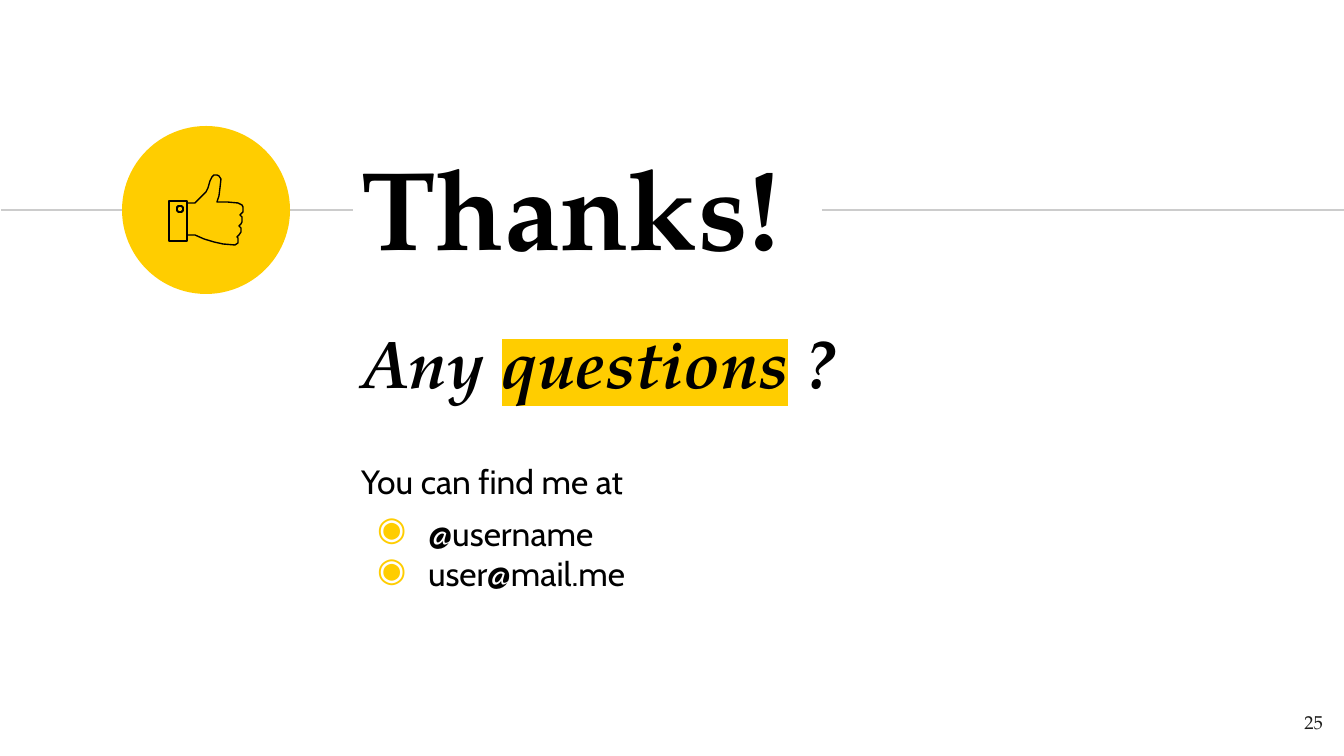
from dataclasses import dataclass
from math import cos, pi, sin

from pptx import Presentation
from pptx.dml.color import RGBColor
from pptx.enum.shapes import MSO_CONNECTOR as Connector, MSO_SHAPE as Preset
from pptx.enum.text import MSO_ANCHOR as Anchor, MSO_AUTO_SIZE as AutoSize, PP_ALIGN as Align
from pptx.oxml.ns import qn
from pptx.oxml.xmlchemy import OxmlElement
from pptx.util import Emu, Pt

PX = 9144000 / 1344


@dataclass(frozen=True)
class Theme:
    serif: str = "TeX Gyre Pagella"
    sans: str = "Cabin"
    ink: str = "000000"
    accent: str = "FFCD00"
    rule: str = "CCCCCC"
    number: str = "1D1D1B"
    title_size: int = 60
    question_size: int = 36
    body_size: int = 18
    number_size: int = 10
    hairline: float = 0.75


THEME = Theme()

HAND = [
    (188, 235), (195, 235), (204, 239), (214, 242), (223, 244), (235, 245),
    (238, 243), (238, 238), (237, 237), (239, 235), (241, 232), (241, 228),
    (239, 226), (241, 224), (242, 222), (242, 217), (240, 215), (242, 213),
    (243, 212), (243, 207), (242, 205), (238, 203), (227, 202), (217, 202),
    (219, 196), (220, 188), (221, 179), (219, 176), (217, 175), (214, 175),
    (212, 177), (210, 181), (208, 188), (206, 192), (199, 199), (195, 203),
    (188, 203),
]
CUFF = [(169, 201), (169, 241), (187, 241), (187, 201)]
BUTTON = [(180 + 3.4 * cos(step * pi / 12), 209 + 3.4 * sin(step * pi / 12))
          for step in range(24)]


def px(length):
    return Emu(round(length * PX))


def rgb(color):
    return RGBColor.from_string(color)


def add_color(parent, color):
    child = OxmlElement("a:srgbClr")
    child.set("val", color)
    parent.append(child)


def add_span(para, text, size, font, color=THEME.ink, bold=False, italic=False, highlight=None):
    span = para.add_run()
    span.text = text
    span.font.size = Pt(size)
    span.font.bold = bold
    span.font.italic = italic
    span.font.color.rgb = rgb(color)
    span.font.name = font
    if highlight:
        mark = OxmlElement("a:highlight")
        add_color(mark, highlight)
        span.font._element.find(qn("a:latin")).addprevious(mark)


def add_bullet(para):
    """Give the paragraph a hanging accent bullet."""
    properties = para._p.get_or_add_pPr()
    properties.set("marL", str(px(67)))
    properties.set("indent", str(-px(51)))
    color = OxmlElement("a:buClr")
    add_color(color, THEME.accent)
    bullet = OxmlElement("a:buChar")
    bullet.set("char", "◉")
    properties.extend([color, bullet])


def format_frame(box, anchor=Anchor.TOP):
    frame = box.text_frame
    frame.word_wrap = True
    frame.auto_size = AutoSize.NONE
    frame.vertical_anchor = anchor
    frame.margin_left = frame.margin_right = px(13)
    frame.margin_top = frame.margin_bottom = px(13)
    return frame


def add_text_box(page, left, top, width, height):
    return format_frame(page.shapes.add_textbox(px(left), px(top), px(width), px(height)))


def add_rule(page, start, end, y):
    rule = page.shapes.add_connector(Connector.STRAIGHT, px(start), px(y), px(end), px(y))
    rule.line.color.rgb = rgb(THEME.rule)
    rule.line.width = Pt(THEME.hairline)
    rule._element.spPr.append(OxmlElement("a:effectLst"))


def add_outline(group, contours, close):
    first, *others = contours
    builder = group.shapes.build_freeform(*first[0], scale=PX)
    builder.add_line_segments(first[1:], close=close)
    for contour in others:
        builder.move_to(*contour[0])
        builder.add_line_segments(contour[1:], close=close)
    outline = builder.convert_to_shape()
    outline.fill.background()
    outline.line.color.rgb = rgb(THEME.ink)
    outline.line.width = Pt(THEME.hairline)
    outline.shadow.inherit = False


def add_thumb_badge(page):
    badge = page.shapes.add_shape(Preset.OVAL, px(122), px(126), px(168), px(168))
    badge.fill.solid()
    badge.fill.fore_color.rgb = rgb(THEME.accent)
    badge.line.fill.background()
    badge.shadow.inherit = False
    thumb = page.shapes.add_group_shape()
    add_outline(thumb, [CUFF, BUTTON], close=True)
    add_outline(thumb, [HAND], close=False)


def set_title(page, text):
    title = page.shapes.title
    title.left, title.top, title.width, title.height = px(348), px(120), px(722), px(171)
    para = format_frame(title, Anchor.MIDDLE).paragraphs[0]
    para.alignment = Align.LEFT
    add_span(para, text, THEME.title_size, THEME.serif, bold=True)


def add_message(page):
    frame = add_text_box(page, 348, 308, 738, 116)
    question = frame.paragraphs[0]
    question.space_before = Pt(6)
    for text, highlight in [("Any ", None), ("questions", THEME.accent), (" ?", None)]:
        add_span(question, text, THEME.question_size, THEME.serif,
                 bold=True, italic=True, highlight=highlight)
    lines = [("You can find me at", 32, False), ("@username", 6, True), ("user@mail.me", 0, True)]
    for text, gap, bulleted in lines:
        para = frame.add_paragraph()
        para.space_before = Pt(gap)
        if bulleted:
            add_bullet(para)
        add_span(para, text, THEME.body_size, THEME.sans)


def add_page_number(page, number):
    para = add_text_box(page, 1255, 698, 81, 58).paragraphs[0]
    para.alignment = Align.RIGHT
    add_span(para, number, THEME.number_size, THEME.serif, THEME.number)


def main():
    deck = Presentation()
    deck.slide_width, deck.slide_height = px(1344), px(756)
    page = deck.slides.add_slide(deck.slide_layouts.get_by_name("Title Only"))
    set_title(page, "Thanks!")
    add_message(page)
    add_rule(page, 1, 353, 210)
    add_rule(page, 822, 1344, 210)
    add_thumb_badge(page)
    add_page_number(page, "25")
    deck.save("out.pptx")


if __name__ == "__main__":
    main()
